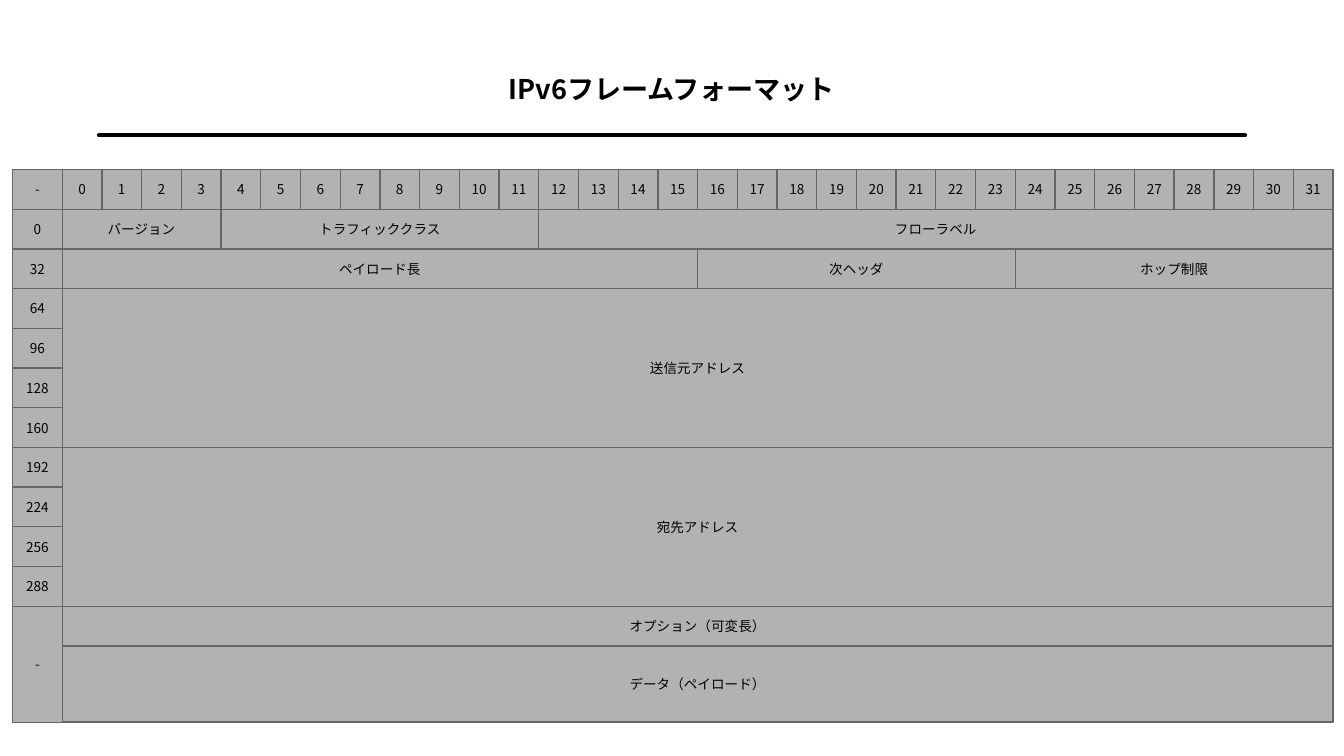
"""Build the IPv6 frame format slide on a grid of 32 bit columns."""
from lxml import etree
from pptx import Presentation
from pptx import util as u
from pptx.dml.color import RGBColor
from pptx.enum import shapes, text
from pptx.oxml.ns import qn

WIDTH, HEIGHT = u.Inches(11.02), u.Inches(6.2)
GRID_LEFT, GRID_TOP = u.Inches(0.51), u.Inches(1.39)
BITS = 32
BIT = u.Inches(10.42) / BITS
OFFSET_COLUMNS = 1.25
DATA_ROWS = 1.92
FONT = "Noto Sans CJK SC"
BLACK = RGBColor(0x00, 0x00, 0x00)
CELL_GREY = RGBColor(0xB2, 0xB2, 0xB2)
BORDER_GREY = RGBColor(0x66, 0x66, 0x66)

FIELDS = [
    ("バージョン", 0, 1, 4, 1),
    ("トラフィッククラス", 4, 1, 8, 1),
    ("フローラベル", 12, 1, 20, 1),
    ("ペイロード長", 0, 2, 16, 1),
    ("次ヘッダ", 16, 2, 8, 1),
    ("ホップ制限", 24, 2, 8, 1),
    ("送信元アドレス", 0, 3, BITS, 4),
    ("宛先アドレス", 0, 7, BITS, 4),
    ("オプション（可変長）", 0, 11, BITS, 1),
    ("データ（ペイロード）", 0, 12, BITS, DATA_ROWS),
]


def write_centred(frame, words, size, bold=False):
    frame.text = words
    frame.word_wrap = True
    frame.auto_size = text.MSO_AUTO_SIZE.NONE
    frame.vertical_anchor = text.MSO_ANCHOR.MIDDLE
    frame.margin_left = frame.margin_right = 0
    frame.margin_top = frame.margin_bottom = 0
    paragraph = frame.paragraphs[0]
    paragraph.alignment = text.PP_ALIGN.CENTER
    font = paragraph.runs[0].font
    font.name, font.size, font.bold = FONT, u.Pt(size), bold
    font.color.rgb = BLACK
    east_asian = etree.SubElement(paragraph.runs[0]._r.rPr, qn("a:ea"))
    east_asian.set("typeface", FONT)


def add_heading(slide, words):
    heading = slide.shapes.title
    heading.left, heading.top = int(WIDTH * 0.3), int(HEIGHT * 0.07)
    heading.width, heading.height = int(WIDTH * 0.4), int(HEIGHT * 0.096)
    write_centred(heading.text_frame, words, 16, bold=True)


def add_rule(slide):
    y = u.Inches(1.11)
    rule = slide.shapes.add_connector(
        shapes.MSO_CONNECTOR.STRAIGHT, u.Inches(0.81), y, u.Inches(10.21), y)
    rule.line.color.rgb = BLACK
    rule.line.width = u.Pt(2.3)
    rule.line._ln.set("cap", "rnd")
    etree.SubElement(rule._element.spPr, qn("a:effectLst"))


def add_cell(slide, label, column, row, columns=1, rows=1):
    cell = slide.shapes.add_shape(
        shapes.MSO_SHAPE.RECTANGLE,
        round(GRID_LEFT + column * BIT), round(GRID_TOP + row * BIT),
        round(columns * BIT), round(rows * BIT))
    cell.shadow.inherit = False
    cell.fill.solid()
    cell.fill.fore_color.rgb = CELL_GREY
    cell.line.color.rgb = BORDER_GREY
    cell.line.width = 0
    write_centred(cell.text_frame, label, 8)


def add_offset(slide, label, row, rows=1):
    add_cell(slide, label, -OFFSET_COLUMNS, row, OFFSET_COLUMNS, rows)


def main():
    deck = Presentation()
    deck.slide_width, deck.slide_height = WIDTH, HEIGHT
    slide = deck.slides.add_slide(deck.slide_layouts[5])
    add_heading(slide, "IPv6フレームフォーマット")
    add_rule(slide)
    for bit in range(BITS):
        add_cell(slide, str(bit), bit, 0)
    add_offset(slide, "-", 0)
    for word in range(10):
        add_offset(slide, str(word * BITS), word + 1)
    add_offset(slide, "-", 11, 1 + DATA_ROWS)
    for field in FIELDS:
        add_cell(slide, *field)
    deck.save("out.pptx")


if __name__ == "__main__":
    main()
